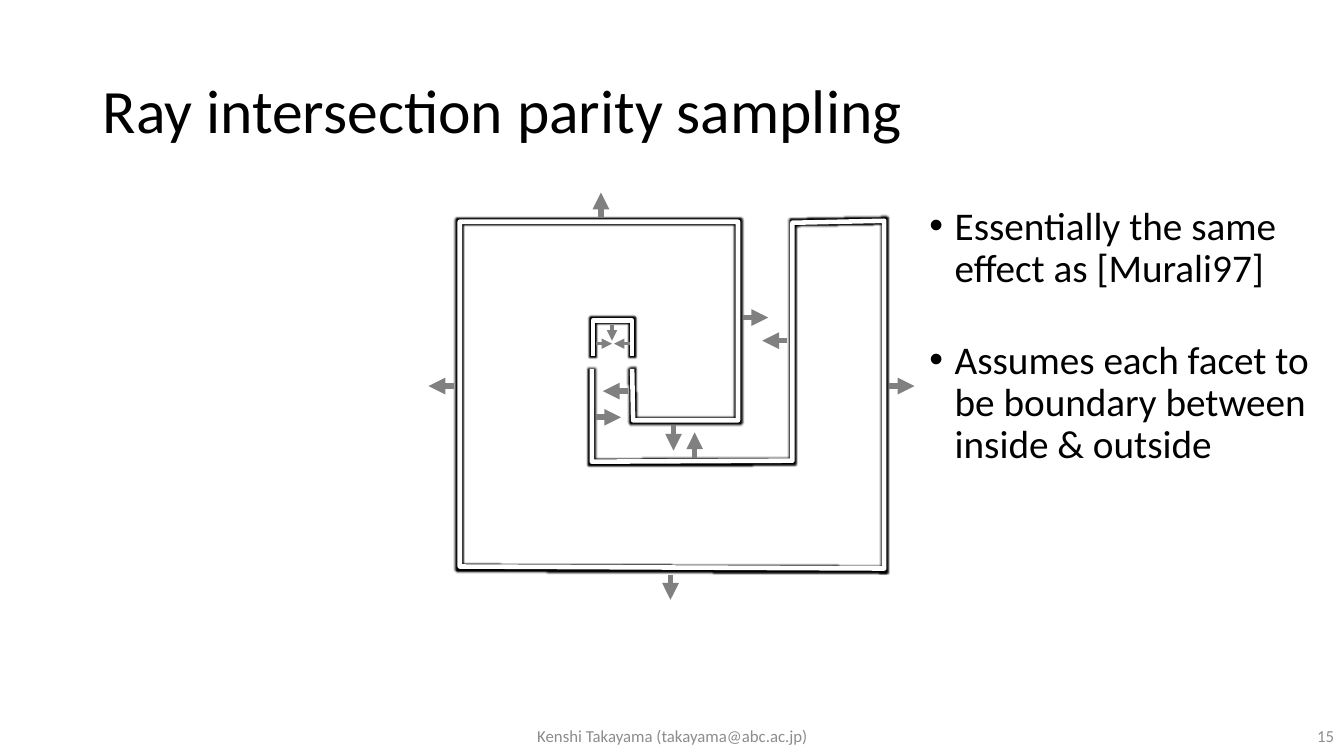
import lxml.etree
import pptx
import pptx.dml.color
import pptx.enum.shapes
import pptx.enum.text
import pptx.oxml.ns
import pptx.util

Inches = pptx.util.Inches
Pt = pptx.util.Pt
qn = pptx.oxml.ns.qn
ALIGN = pptx.enum.text.PP_ALIGN
ANCHOR = pptx.enum.text.MSO_ANCHOR

presentation = pptx.Presentation()
presentation.slide_width = Inches(13.33)
presentation.slide_height = Inches(7.5)
slide = presentation.slides.add_slide(presentation.slide_layouts[6])


def rgb(color):
    return pptx.dml.color.RGBColor.from_string(color)


def add_text(box, lines, size, color, align=ALIGN.LEFT, anchor=ANCHOR.MIDDLE):
    """Add a wrapped text box with one paragraph per line and return its paragraphs."""
    shape = slide.shapes.add_textbox(*map(Inches, box))
    frame = shape.text_frame
    frame.word_wrap = True
    frame.vertical_anchor = anchor
    frame.text = "\n".join(lines)
    for paragraph in frame.paragraphs:
        paragraph.alignment = align
        font = paragraph.runs[0].font
        font.name = "Calibri"
        font.size = Pt(size)
        font.color.rgb = rgb(color)
    return frame.paragraphs


title = add_text((0.92, 0.4, 11.5, 1.45), ["Ray intersection parity sampling"], 44, "000000")
title[0].line_spacing = 0.9

points = add_text(
    (9.12, 2, 4.09, 4.76),
    ["Essentially the same effect as [Murali97]",
     "Assumes each facet to be boundary between inside & outside"],
    28, "000000", anchor=ANCHOR.TOP)
for paragraph in points:
    paragraph.line_spacing = 0.9
    properties = paragraph._p.get_or_add_pPr()
    properties.set("marL", str(Inches(0.25)))
    properties.set("indent", str(-Inches(0.25)))
    lxml.etree.SubElement(properties, qn("a:buFont")).set("typeface", "Arial")
    lxml.etree.SubElement(properties, qn("a:buChar")).set("char", "•")
points[1].space_before = Pt(35)

add_text((4.42, 7.1, 4.5, 0.4), ["Kenshi Takayama (takayama@abc.ac.jp)"], 12, "8C8C8C", ALIGN.CENTER)
add_text((10.33, 7.1, 3, 0.4), ["15"], 12, "8C8C8C", ALIGN.RIGHT)

# White walls with a black glow around them
inner_cap = [(5.88, 3.53), (5.88, 3.18), (6.27, 3.18), (6.27, 3.53)]
spiral_wall = [(6.27, 3.66), (6.28, 4.17), (7.32, 4.17), (7.32, 2.2), (4.56, 2.2), (4.56, 5.62),
               (8.77, 5.64), (8.77, 2.19), (7.86, 2.21), (7.86, 4.57), (5.87, 4.58), (5.87, 3.66)]
for outline in (inner_cap, spiral_wall):
    corners = [(Inches(x), Inches(y)) for x, y in outline]
    builder = slide.shapes.build_freeform(*corners[0])
    builder.add_line_segments(corners[1:], close=False)
    wall = builder.convert_to_shape()
    wall.fill.background()
    wall.line.color.rgb = rgb("FFFFFF")
    wall.line.width = Pt(3.25)
    effects = lxml.etree.SubElement(wall._element.spPr, qn("a:effectLst"))
    glow = lxml.etree.SubElement(effects, qn("a:glow"), rad=str(Pt(2.5)))
    lxml.etree.SubElement(glow, qn("a:srgbClr"), val="000000")

# Surface normals: start x, start y, direction x, direction y
SMALL, LARGE = (0.16, 2.5), (0.25, 4)
normals = {
    SMALL: [(6.07, 3.22, 0, 1), (6.25, 3.41, -1, 0), (5.91, 3.41, 1, 0)],
    LARGE: [(5.96, 2.16, 0, -1), (4.5, 3.83, -1, 0), (8.82, 3.83, 1, 0), (6.23, 3.88, -1, 0),
            (5.91, 4.14, 1, 0), (7.81, 3.38, -1, 0), (7.37, 3.15, 1, 0), (6.89, 4.54, 0, -1),
            (6.68, 4.22, 0, 1), (6.65, 5.7, 0, 1)],
}
for (length, width), arrows in normals.items():
    for x, y, dx, dy in arrows:
        arrow = slide.shapes.add_connector(
            pptx.enum.shapes.MSO_CONNECTOR.STRAIGHT,
            Inches(x), Inches(y), Inches(x + dx * length), Inches(y + dy * length))
        arrow.line.color.rgb = rgb("808080")
        arrow.line.width = Pt(width)
        lxml.etree.SubElement(arrow.line._get_or_add_ln(), qn("a:tailEnd"), type="triangle")
        lxml.etree.SubElement(arrow._element.spPr, qn("a:effectLst"))

presentation.save("out.pptx")
